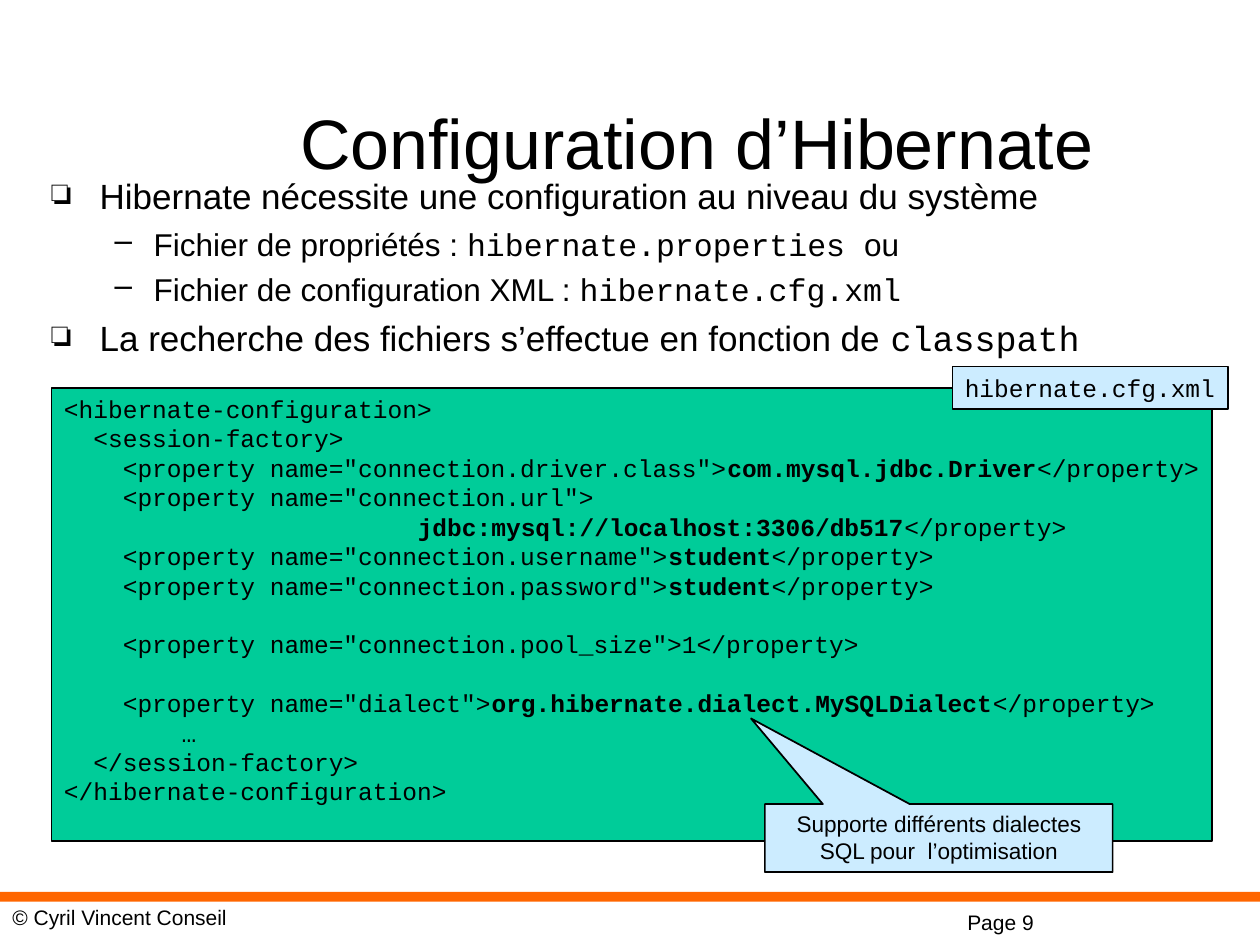
from lxml import etree
from pptx import Presentation
from pptx.dml.color import RGBColor
from pptx.enum.shapes import MSO_SHAPE
from pptx.enum.text import MSO_ANCHOR, PP_ALIGN
from pptx.oxml.ns import qn
from pptx.util import Cm, Pt

RECTANGLE = MSO_SHAPE.RECTANGLE
CALLOUT = MSO_SHAPE.RECTANGULAR_CALLOUT
LEFT, CENTER = PP_ALIGN.LEFT, PP_ALIGN.CENTER
TOP, MIDDLE = MSO_ANCHOR.TOP, MSO_ANCHOR.MIDDLE

# In marked text, every second part between bars is emphasised.
BULLETS = [
    (0, "Hibernate nécessite une configuration au niveau du système"),
    (1, "Fichier de propriétés : |hibernate.properties |ou"),
    (1, "Fichier de configuration XML : |hibernate.cfg.xml"),
    (0, "La recherche des fichiers s’effectue en fonction de |classpath"),
]
# Bullet, left indent, hanging indent, size, space before
LEVELS = [("❏", 0.97, 0.97, 20, 5), ("–", 2.06, 0.79, 18, 4.5)]

CODE = """<hibernate-configuration>
  <session-factory>
    <property name="connection.driver.class">|com.mysql.jdbc.Driver|</property>
    <property name="connection.url">
                        |jdbc:mysql://localhost:3306/db517|</property>
    <property name="connection.username">|student|</property>
    <property name="connection.password">|student|</property>

    <property name="connection.pool_size">1</property>

    <property name="dialect">|org.hibernate.dialect.MySQLDialect|</property>
        …
  </session-factory>
</hibernate-configuration>"""


def color(hex_string):
    return RGBColor.from_string(hex_string)


class SlideBuilder:
    text_font = "Arial"
    code_font = "Courier New"
    ink = "000000"
    accent = "FF6600"
    code_fill = "00CC99"
    note_fill = "CCECFF"

    def __init__(self, slide):
        self.slide = slide

    def style(self, font, size, name):
        font.size = Pt(size)
        font.name = name
        font.color.rgb = color(self.ink)

    def fill_text(self, text_frame, text, size, name, align):
        text_frame.text = text
        for paragraph in text_frame.paragraphs:
            paragraph.alignment = align
            self.style(paragraph.font, size, name)
            for run in paragraph.runs:
                self.style(run.font, size, name)

    def add_marked_runs(self, paragraph, text, size, name, emphasis_name, bold):
        """Add text whose odd parts between bars are emphasised."""
        self.style(paragraph.font, size, name)
        for index, part in enumerate(text.split("|")):
            emphasised = index % 2 == 1
            run = paragraph.add_run()
            run.text = part
            self.style(run.font, size, emphasis_name if emphasised else name)
            run.font.bold = bold and emphasised

    def text_box(self, box, text="", size=12, align=LEFT, anchor=TOP):
        shape = self.slide.shapes.add_textbox(*map(Cm, box))
        text_frame = shape.text_frame
        text_frame.word_wrap = True
        text_frame.vertical_anchor = anchor
        if text:
            self.fill_text(text_frame, text, size, self.text_font, align)
        return text_frame

    def panel(self, box, fill, outlined=True, kind=RECTANGLE, wrap=False):
        shape = self.slide.shapes.add_shape(kind, *map(Cm, box))
        shape.shadow.inherit = False
        shape.fill.solid()
        shape.fill.fore_color.rgb = color(fill)
        if outlined:
            shape.line.color.rgb = color(self.ink)
            shape.line.width = Pt(1)
        else:
            shape.line.fill.background()
        shape.text_frame.word_wrap = wrap
        shape.text_frame.vertical_anchor = TOP
        return shape

    def bullet_list(self, box, items):
        text_frame = self.text_box(box)
        for index, (level, text) in enumerate(items):
            bullet, left, hanging, size, space = LEVELS[level]
            paragraph = text_frame.add_paragraph() if index else text_frame.paragraphs[0]
            paragraph.level = level
            if index:
                paragraph.space_before = Pt(space)
            properties = paragraph._p.get_or_add_pPr()
            properties.set("marL", str(Cm(left)))
            properties.set("indent", str(-Cm(hanging)))
            etree.SubElement(properties, qn("a:buChar"), char=bullet)
            self.add_marked_runs(paragraph, text, size, self.text_font, self.code_font, False)

    def code_block(self, box, code):
        text_frame = self.panel(box, self.code_fill).text_frame
        for index, line in enumerate(code.splitlines()):
            paragraph = text_frame.add_paragraph() if index else text_frame.paragraphs[0]
            paragraph.alignment = LEFT
            if line:
                self.add_marked_runs(paragraph, line, 14, self.code_font, self.code_font, True)
            else:
                self.style(paragraph.font, 14, self.code_font)

    def file_label(self, box, text):
        shape = self.panel(box, self.note_fill)
        self.fill_text(shape.text_frame, text, 14, self.code_font, LEFT)

    def callout(self, box, text, tip):
        shape = self.panel(box, self.note_fill, kind=CALLOUT, wrap=True)
        shape.adjustments[0], shape.adjustments[1] = tip
        self.fill_text(shape.text_frame, text, 12.9, self.text_font, CENTER)


def main():
    presentation = Presentation()
    presentation.slide_width = Cm(25.4)
    presentation.slide_height = Cm(19.05)
    builder = SlideBuilder(presentation.slides.add_slide(presentation.slide_layouts[6]))

    builder.panel((0, 17.98, 25.4, 0.2), builder.accent, outlined=False)
    builder.text_box((19.25, 18.21, 3.38, 0.76), "Page 9")
    builder.text_box((0, 18.11, 9.53, 0.76), "© Cyril Vincent Conseil")
    builder.text_box((3.25, 1.27, 21.59, 3.18), "Configuration d’Hibernate", 40, CENTER, MIDDLE)
    builder.bullet_list((0.79, 3.4, 23.88, 3.94), BULLETS)
    builder.code_block((1.04, 7.82, 23.39, 9.14), CODE)
    builder.file_label((19.2, 7.39, 5.56, 0.86), "hibernate.cfg.xml")
    builder.callout((15.42, 16.21, 7.01, 1.37),
                    "Supporte différents dialectes SQL pour  l’optimisation", (-0.54, -1.76))
    presentation.save("out.pptx")


if __name__ == "__main__":
    main()
